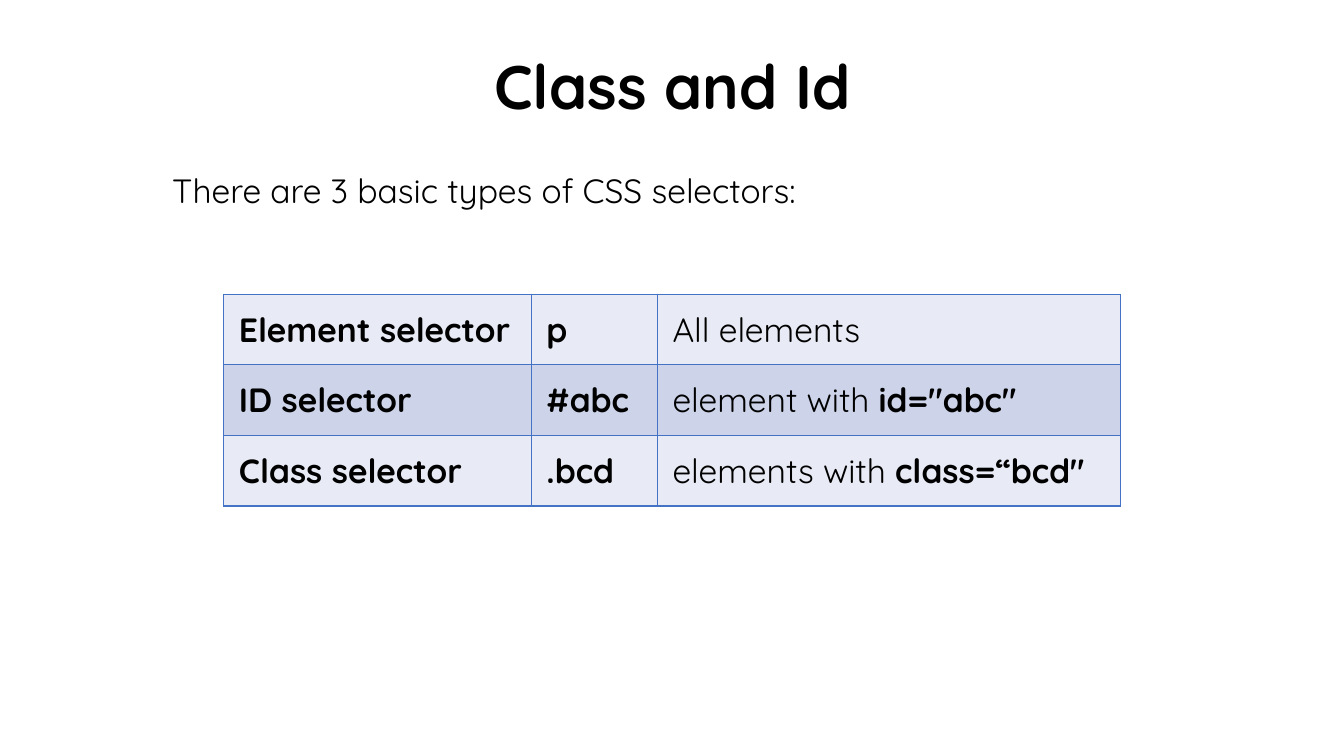
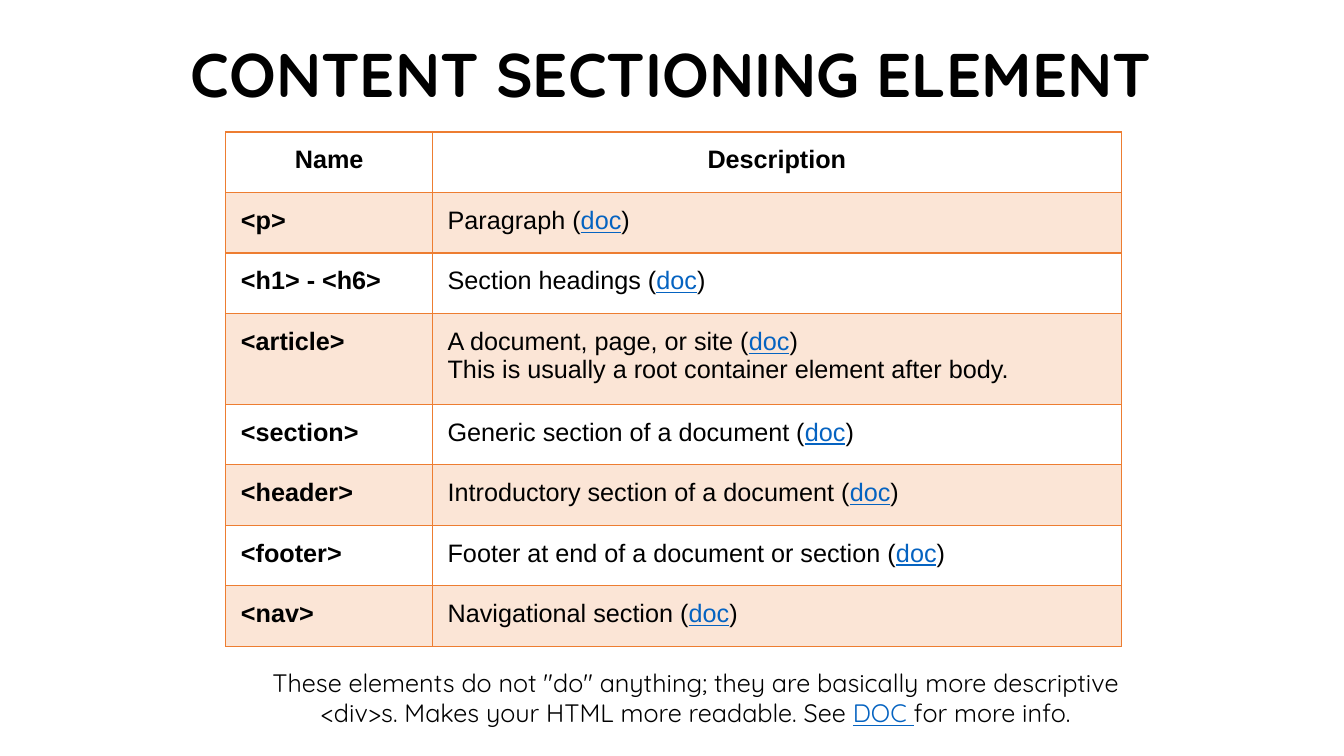
from lxml.etree import SubElement
from pptx import Presentation
from pptx.dml.color import RGBColor
from pptx.enum.text import PP_ALIGN
from pptx.oxml.ns import qn
from pptx.util import Inches, Pt

BLACK = "000000"
TITLE = {"size": Pt(44), "name": "Quicksand", "bold": True}
BODY = {"size": Pt(24), "name": "Quicksand", "bold": False}
CELL = {"size": Pt(18), "name": "Arial", "bold": False}
NOTE = {"size": Pt(18), "name": "Quicksand", "bold": False}
BOLD = {"bold": True}
LINK = {"underline": True, "color": "0563C1"}
LEFT, MID, JUST = PP_ALIGN.LEFT, PP_ALIGN.CENTER, PP_ALIGN.JUSTIFY
DOC = ("doc", LINK)


def paint(fill, color):
    fill.solid()
    fill.fore_color.rgb = RGBColor.from_string(color)


def write(frame, parts, look, align):
    frame.word_wrap = True
    line = frame.paragraphs[0]
    line.alignment = align
    for text, extra in parts:
        if text == "\n":
            line.add_line_break()
            continue
        run = line.add_run()
        run.text = text
        style = {"color": BLACK, **look, **extra}
        paint(run.font.fill, style.pop("color"))
        for key, value in style.items():
            setattr(run.font, key, value)


types = [
    ("Element selector", "p", [("All elements", {})]),
    ("ID selector", "#abc", [("element with ", {}), ('id="abc"', BOLD)]),
    ("Class selector", ".bcd", [("elements with ", {}), ('class=“bcd"', BOLD)]),
]
tags = [
    ("<p>", "Paragraph"),
    ("<h1> - <h6>", "Section headings"),
    ("<article>", "A document, page, or site"),
    ("<section>", "Generic section of a document"),
    ("<header>", "Introductory section of a document"),
    ("<footer>", "Footer at end of a document or section"),
    ("<nav>", "Navigational section"),
]
extra = {"<article>": [("\n", {}), ("This is usually a root container element after body.", {})]}

picks = [[[(kind, BOLD)], [(sign, BOLD)], parts] for kind, sign, parts in types]
parts = [[[("Name", BOLD)], [("Description", BOLD)]]]
for tag, text in tags:
    parts.append([[(tag, BOLD)], [(text + " (", {}), DOC, (")", {}), *extra.get(tag, [])]])

intro = [("There are 3 basic types of CSS selectors:", {})]
close = [
    ('These elements do not "do" anything; they are basically more descriptive <div>s. '
     "Makes your HTML more readable. See ", {}),
    ("DOC ", LINK),
    ("for more info.", {}),
]

pages = [
    {
        "boxes": [
            ((0.66, 0.43, 12.02, 0.84), [("Class and Id", {})], TITLE, MID),
            ((1.61, 1.64, 10.11, 0.5), intro, BODY, JUST),
        ],
        "rows": picks, "at": (2.22, 2.92), "cols": (3.05, 1.25, 4.59),
        "high": [0.7] * 3, "look": BODY, "head": LEFT,
        "edge": "4472C4", "bands": ("E8EBF5", "CDD4EA"),
    },
    {
        "boxes": [
            ((1.77, 0.31, 9.78, 0.84), [("CONTENT SECTIONING ELEMENT", {})], TITLE, MID),
            ((2.24, 6.57, 9.32, 0.71), close, NOTE, MID),
        ],
        "rows": parts, "at": (2.24, 1.31), "cols": (2.05, 6.83),
        "high": [0.6] * 3 + [0.9] + [0.6] * 4, "look": CELL, "head": MID,
        "edge": "ED7D31", "bands": (None, "FBE5D6"),
    },
]

deck = Presentation()
deck.slide_width, deck.slide_height = Inches(13.33), Inches(7.5)

for page in pages:
    slide = deck.slides.add_slide(deck.slide_layouts[6])
    for place, text, look, align in page["boxes"]:
        box = slide.shapes.add_textbox(*map(Inches, place))
        write(box.text_frame, text, look, align)

    rows, cols, high = page["rows"], page["cols"], page["high"]
    size = (*page["at"], sum(cols), sum(high))
    grid = slide.shapes.add_table(len(rows), len(cols), *map(Inches, size)).table
    grid.first_row = grid.horz_banding = False
    for col, width in zip(grid.columns, cols):
        col.width = Inches(width)
    for r, row in enumerate(rows):
        grid.rows[r].height = Inches(high[r])
        for c, text in enumerate(row):
            cell = grid.cell(r, c)
            cell.margin_left = cell.margin_right = Inches(0.15)
            cell.margin_top = cell.margin_bottom = Inches(0.14)
            write(cell.text_frame, text, page["look"], LEFT if r else page["head"])
            props = cell._tc.get_or_add_tcPr()
            for side in ("lnL", "lnR", "lnT", "lnB"):
                edge = SubElement(props, qn("a:" + side), w=str(Pt(1)))
                solid = SubElement(edge, qn("a:solidFill"))
                SubElement(solid, qn("a:srgbClr"), val=page["edge"])
            band = page["bands"][r % 2]
            if band:
                paint(cell.fill, band)
            else:
                cell.fill.background()

deck.save("out.pptx")
